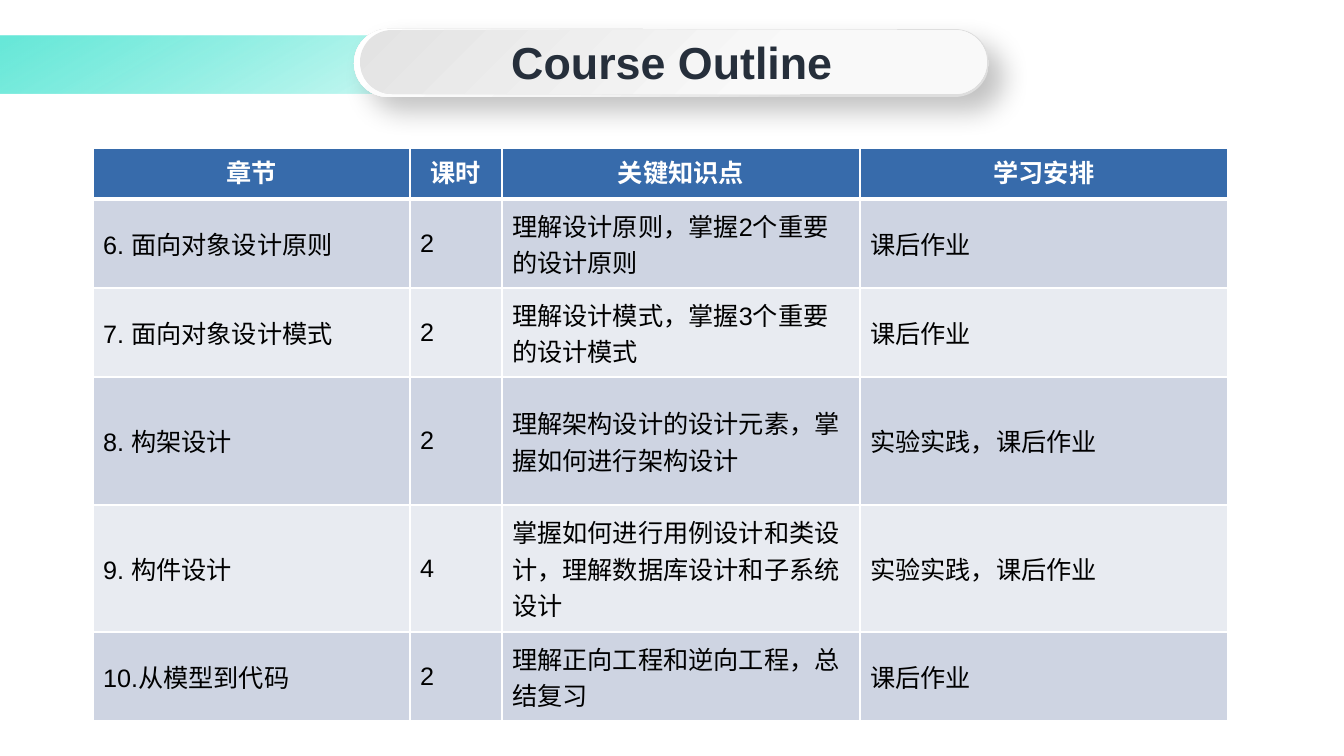
from lxml.etree import SubElement
from pptx import Presentation
from pptx.dml.color import RGBColor
from pptx.enum.lang import MSO_LANGUAGE_ID as LANG
from pptx.enum.shapes import MSO_SHAPE as SHAPE
from pptx.enum.text import MSO_ANCHOR as ANCHOR, MSO_AUTO_SIZE as AUTO, PP_ALIGN as ALIGN
from pptx.oxml.ns import qn
from pptx.util import Pt

PX = 914400 / 100.8
COLUMNS = [317, 92, 358, 368]
ROWS = [51, 89, 89, 128, 127, 89]
HEADER = ["章节", "课时", "关键知识点", "学习安排"]
CHAPTERS = [
    ["6. 面向对象设计原则", "2", "理解设计原则，掌握2个重要的设计原则", "课后作业"],
    ["7. 面向对象设计模式", "2", "理解设计模式，掌握3个重要的设计模式", "课后作业"],
    ["8. 构架设计", "2", "理解架构设计的设计元素，掌握如何进行架构设计", "实验实践，课后作业"],
    ["9. 构件设计", "4", "掌握如何进行用例设计和类设计，理解数据库设计和子系统设计", "实验实践，课后作业"],
    ["10.从模型到代码", "2", "理解正向工程和逆向工程，总结复习", "课后作业"],
]


def px(n):
    """Turn pixels into EMU."""
    return round(n * PX)


def rgb(value):
    """Turn a hex string into a colour."""
    return RGBColor.from_string(value)


def add(parent, tag, **attrs):
    """Append a DrawingML element."""
    return SubElement(parent, qn(tag), {k: str(v) for k, v in attrs.items()})


def set_text(tf, text, size, color, bold, align, language):
    """Write one formatted paragraph."""
    p = tf.paragraphs[0]
    p.alignment = align
    r = p.add_run()
    r.text = text
    font = {"name": "Arial", "size": Pt(size), "bold": bold, "language_id": language}
    for name, value in font.items():
        setattr(r.font, name, value)
    r.font.color.rgb = rgb(color)


def add_gradient_shape(s, kind, box, stops, angle):
    """Add a borderless shape with a linear gradient of (position, colour, alpha) stops."""
    sp = s.shapes.add_shape(kind, *map(px, box))
    if kind == SHAPE.ROUNDED_RECTANGLE:
        sp.adjustments[0] = 0.5
    sp.line.fill.background()
    sp.shadow.inherit = False
    sp.fill.gradient()
    grad = sp.element.spPr.find(qn("a:gradFill"))
    for child in list(grad):
        grad.remove(child)
    stop_list = add(grad, "a:gsLst")
    for position, color, alpha in stops:
        stop = add(stop_list, "a:gs", pos=position * 1000)
        clr = add(stop, "a:srgbClr", val=color)
        if alpha < 100:
            add(clr, "a:alpha", val=alpha * 1000)
    add(grad, "a:lin", ang=angle * 60000, scaled=0)
    return sp


def add_shadow(sp, color, alpha, blur, distance, angle):
    """Give a shape a soft outer shadow."""
    effects = sp.element.spPr.find(qn("a:effectLst"))
    shadow = add(effects, "a:outerShdw", blurRad=Pt(blur), dist=Pt(distance),
                 dir=angle * 60000, algn="tl", rotWithShape=0)
    clr = add(shadow, "a:srgbClr", val=color)
    add(clr, "a:alpha", val=alpha * 1000)


def set_borders(cell, top, bottom):
    """Draw white borders round a cell."""
    tc_pr = cell._tc.get_or_add_tcPr()
    for tag, width in {"a:lnL": 1, "a:lnR": 1, "a:lnT": top, "a:lnB": bottom}.items():
        ln = add(tc_pr, tag, w=Pt(width))
        add(add(ln, "a:solidFill"), "a:srgbClr", val="FFFFFF")


def add_title(s, text, box):
    """Move the title placeholder to the front and fill it."""
    title = s.shapes.title
    for name, value in zip(("left", "top", "width", "height"), map(px, box)):
        setattr(title, name, value)
    tf = title.text_frame
    for name, value in {"word_wrap": True, "auto_size": AUTO.NONE,
                        "vertical_anchor": ANCHOR.MIDDLE}.items():
        setattr(tf, name, value)
    set_text(tf, text, 32, "262F3B", True, ALIGN.CENTER, LANG.ENGLISH_US)
    title.element.getparent().append(title.element)


def add_outline_table(s, left, top):
    """Add the table of chapters."""
    frame = s.shapes.add_table(len(ROWS), len(COLUMNS), px(left), px(top),
                               px(sum(COLUMNS)), px(sum(ROWS)))
    table = frame.table
    for column, width in zip(table.columns, COLUMNS):
        column.width = px(width)
    for row, height in zip(table.rows, ROWS):
        row.height = px(height)
    for i, texts in enumerate([HEADER] + CHAPTERS):
        head = i == 0
        fill = "376BAB" if head else ("E8EBF1", "CED4E2")[i % 2]
        for j, text in enumerate(texts):
            cell = table.cell(i, j)
            set_borders(cell, 3 if i == 1 else 1, 3 if head else 1)
            cell.fill.solid()
            cell.fill.fore_color.rgb = rgb(fill)
            cell.vertical_anchor = ANCHOR.TOP if head else ANCHOR.MIDDLE
            set_text(cell.text_frame, text, 18, "FFFFFF" if head else "000000", head,
                     ALIGN.CENTER if head else ALIGN.LEFT, LANG.SIMPLIFIED_CHINESE)


def main():
    """Build the course outline slide."""
    prs = Presentation()
    prs.slide_width, prs.slide_height = px(1344), px(756)
    s = prs.slides.add_slide(prs.slide_layouts[5])
    add_gradient_shape(s, SHAPE.RECTANGLE, (-1, 36, 1328, 58),
                       [(1, "4EE4D2", 85), (50, "20E2CB", 0)], 60)
    rim = add_gradient_shape(s, SHAPE.ROUNDED_RECTANGLE, (354, 29, 635, 68),
                             [(1, "DEDEDE", 100), (30, "E0E0E0", 100),
                              (61, "F6F6F6", 100), (100, "FFFFFF", 100)], 225)
    add_shadow(rim, "000000", 24, 19, 14, 45)
    add_gradient_shape(s, SHAPE.ROUNDED_RECTANGLE, (360, 30, 627, 64),
                       [(0, "E3E3E3", 100), (67, "F9F9F9", 100)], 45)
    add_title(s, "Course Outline", (384, 29, 576, 65))
    add_outline_table(s, 93, 148)
    prs.save("out.pptx")


if __name__ == "__main__":
    main()
